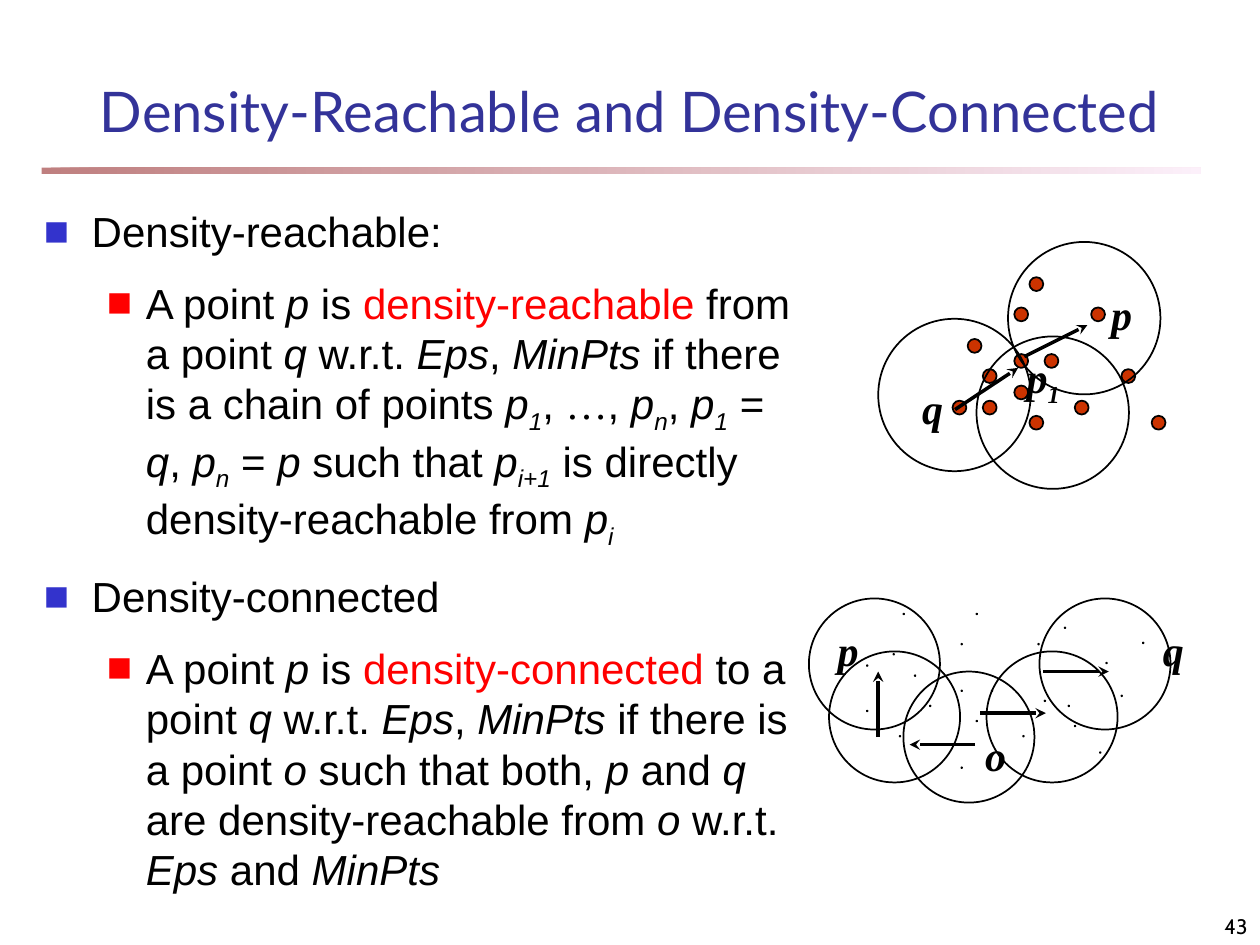
import pptx
import pptx.util
import pptx.dml.color
import pptx.enum.shapes
import pptx.enum.text
import pptx.oxml
import pptx.oxml.ns

WIDTH, HEIGHT = pptx.util.Inches(10), pptx.util.Inches(7.5)
COLUMNS, ROWS = 100, 75
COLORS = {"title": "333399", "text": "000000", "accent": "FF0000", "bullet": "3333CC",
          "dot": "CC3300", "rule_start": "800000", "rule_end": "FAE2F6"}
ALIGN = pptx.enum.text.PP_ALIGN
ANCHOR = pptx.enum.text.MSO_ANCHOR
OVAL = pptx.enum.shapes.MSO_SHAPE.OVAL
LABEL = {"name": "Times New Roman", "size": pptx.util.Pt(24), "bold": True, "italic": True}
BODY = {"name": "Arial", "size": pptx.util.Pt(24)}
LEVELS = [
    {"indent": (0.38, -0.38), "bullet": "bullet"},
    {"indent": (0.81, -0.31), "bullet": "accent"},
]
MARKS = {"*": "italic", "_": "subscript", "^": "accent", "~": "serif"}
POINTS = [
    (0, "Density-reachable:"),
    (1, "A point *p* is ^density-reachable^ from a point *q* w.r.t. *Eps*, *MinPts* if there is "
        "a chain of points *p_1_*, ~…~, *p_n_*, *p_1_* = *q*, *p_n_* = *p* such that *p_i+1_* "
        "is directly density-reachable from *p_i_*"),
    (0, "Density-connected"),
    (1, "A point *p* is ^density-connected^ to a point *q* w.r.t. *Eps*, *MinPts* if there is "
        "a point *o *such that both, *p* and *q* are density-reachable from *o* w.r.t. "
        "*Eps* and *MinPts*"),
]
REACHABLE = {
    "dot_size": 1.1,
    "dots": [(76.8, 26.9), (80.5, 28.1), (80.5, 24.4), (75.6, 31.8), (78, 29.3), (78, 31.8),
             (81.7, 33), (81.7, 22), (89, 29.3), (86.6, 24.4), (80.5, 30.6), (82.9, 28.1),
             (85.3, 31.8), (91.4, 33)],
    "circle_size": 12.1,
    "circles": [(77.5, 26.7), (69.7, 25.3), (80, 19.2)],
    "labels": [("p", 87.2, 22.4, 4.2), ("q", 72.2, 29.9, 4.2), ("p_1_", 80.5, 27.4, 6.7)],
    "arrows": [(81.3, 28.3, 86.3, 25.8), (75.8, 32.5, 80.8, 29.2)],
}
CONNECTED = {
    "dot_size": 0.05,
    "dots": [(72.6, 53.6), (76.3, 54.8), (76.3, 51.1), (71.4, 58.4), (73.8, 56), (76.3, 60.9),
             (77.5, 57.2), (77.5, 48.7), (84.8, 56), (82.4, 51.1), (68.8, 56.4), (78.7, 54.8),
             (81.2, 58.4), (87.3, 59.7), (89, 55.2), (82.9, 55.6), (85.3, 57.6), (90.7, 51),
             (84.5, 49.8), (87.8, 52.6), (70.9, 51.9), (68.8, 52.8), (71.7, 48.7)],
    "circle_size": 10.4,
    "circles": [(65.8, 51.7), (71.7, 53.3), (78.3, 51.7), (82.5, 47.5), (64.2, 47.5)],
    "labels": [("p", 65.5, 49.1, 5.2), ("q", 91.3, 49.1, 5.2), ("o", 77.2, 57.4, 5.2)],
    "arrows": [(77.4, 59.1, 72.2, 59.1), (77.8, 56.6, 83, 56.6), (69.7, 58.5, 69.7, 53.3),
               (82.8, 53.3, 88, 53.3)],
}


def cells(*values):
    """Convert alternating column and row counts to lengths."""
    units = (WIDTH / COLUMNS, HEIGHT / ROWS)
    return [round(value * units[index % 2]) for index, value in enumerate(values)]


def color(name):
    """Look up a named colour."""
    return pptx.dml.color.RGBColor.from_string(COLORS[name])


def assign(target, values):
    """Set every attribute in a dict of format values."""
    for name, value in values.items():
        setattr(target, name, value)


def add_xml(parent, tag, **attributes):
    """Append a drawing element with attributes."""
    child = pptx.oxml.parse_xml(f"<a:{tag} {pptx.oxml.ns.nsdecls('a')}/>")
    for name, value in attributes.items():
        child.set(name, value)
    parent.append(child)
    return child


def add_spans(para, markup, font, tint="text"):
    """Write marked-up text as formatted spans."""
    active, pieces = frozenset(), []
    for letter in markup:
        if letter in MARKS:
            active = active ^ {MARKS[letter]}
        elif pieces and pieces[-1][1] == active:
            pieces[-1][0] += letter
        else:
            pieces.append([letter, active])
    for text, styles in pieces:
        span = para.add_run()
        span.text = text
        assign(span.font, font)
        if "italic" in styles:
            span.font.italic = True
        if "serif" in styles:
            span.font.name = LABEL["name"]
        if "subscript" in styles:
            span._r.get_or_add_rPr().set("baseline", "-25000")
        span.font.color.rgb = color("accent" if "accent" in styles else tint)


def add_text(shapes, place, markup, font, frame=None, para_format=None, tint="text"):
    """Add a text box with one paragraph."""
    box = shapes.add_textbox(*cells(*place))
    assign(box.text_frame, {"word_wrap": True, **(frame or {})})
    para = box.text_frame.paragraphs[0]
    assign(para, para_format or {})
    add_spans(para, markup, font, tint)


def add_bullets(shapes, place, points):
    """Add the two-level bulleted list."""
    box = shapes.add_textbox(*cells(*place))
    box.text_frame.word_wrap = True
    for index, (level, markup) in enumerate(points):
        para = box.text_frame.add_paragraph() if index else box.text_frame.paragraphs[0]
        style = LEVELS[level]
        assign(para, {"level": level, "space_before": pptx.util.Pt(12 if index else 0)})
        settings = para._p.get_or_add_pPr()
        for name, inches in zip(("marL", "indent"), style["indent"]):
            settings.set(name, str(pptx.util.Inches(inches)))
        add_xml(add_xml(settings, "buClr"), "srgbClr", val=COLORS[style["bullet"]])
        add_xml(settings, "buFont", typeface="Arial")
        add_xml(settings, "buChar", char="■")
        add_spans(para, markup, BODY)


def add_circle(shapes, left, top, size, fill=None):
    """Add an outlined circle, filled when a colour is named."""
    circle = shapes.add_shape(OVAL, *cells(left, top, size, size))
    circle.shadow.inherit = False
    if fill:
        circle.fill.solid()
        circle.fill.fore_color.rgb = color(fill)
    else:
        circle.fill.background()
    circle.line.color.rgb = color("text")
    circle.line.width = pptx.util.Pt(1)


def add_arrow(shapes, ends):
    """Add a straight arrow with a stealth head."""
    arrow = shapes.add_connector(pptx.enum.shapes.MSO_CONNECTOR.STRAIGHT, *cells(*ends))
    arrow.line.color.rgb = color("text")
    arrow.line.width = pptx.util.Pt(2)
    add_xml(arrow.line._get_or_add_ln(), "tailEnd", type="stealth")
    add_xml(arrow._element.spPr, "effectLst")


def add_rule(shapes, place):
    """Add the translucent gradient rule under the title."""
    rule = shapes.add_shape(pptx.enum.shapes.MSO_SHAPE.RECTANGLE, *cells(*place))
    rule.shadow.inherit = False
    rule.line.fill.background()
    rule.fill.gradient()
    rule.fill.gradient_angle = 0
    for stop, name, position in zip(rule.fill.gradient_stops, ("rule_start", "rule_end"), (0, 1)):
        stop.position = position
        stop.color.rgb = color(name)
    for tint in rule._element.spPr.iter(pptx.oxml.ns.qn("a:srgbClr")):
        add_xml(tint, "alpha", val="50000")


def add_diagram(shapes, diagram):
    """Add dots, neighbourhood circles, labels and arrows."""
    for left, top in diagram["dots"]:
        add_circle(shapes, left, top, diagram["dot_size"], "dot")
    for left, top in diagram["circles"]:
        add_circle(shapes, left, top, diagram["circle_size"])
    for markup, left, top, width in diagram["labels"]:
        add_text(shapes, (left, top, width, 5), markup, LABEL)
    for ends in diagram["arrows"]:
        add_arrow(shapes, ends)


def main():
    """Build and save the slide."""
    deck = pptx.Presentation()
    assign(deck, {"slide_width": WIDTH, "slide_height": HEIGHT})
    page = deck.slides.add_slide(deck.slide_layouts[6])
    add_rule(page.shapes, (3.3, 13.3, 92, 0.5))
    add_text(page.shapes, (0, 4.17, 100, 9.17), "Density-Reachable and Density-Connected",
             {"name": "Lato", "size": pptx.util.Pt(32)}, {"vertical_anchor": ANCHOR.MIDDLE},
             {"alignment": ALIGN.CENTER}, "title")
    add_bullets(page.shapes, (2.5, 15.83, 61.7, 55), POINTS)
    add_diagram(page.shapes, REACHABLE)
    add_diagram(page.shapes.add_group_shape().shapes, CONNECTED)
    add_text(page.shapes, (79.2, 70.8, 20.8, 4.2), "43",
             {"name": "Cabin", "size": pptx.util.Pt(12)}, {"vertical_anchor": ANCHOR.BOTTOM},
             {"alignment": ALIGN.RIGHT})
    deck.save("out.pptx")


if __name__ == "__main__":
    main()
